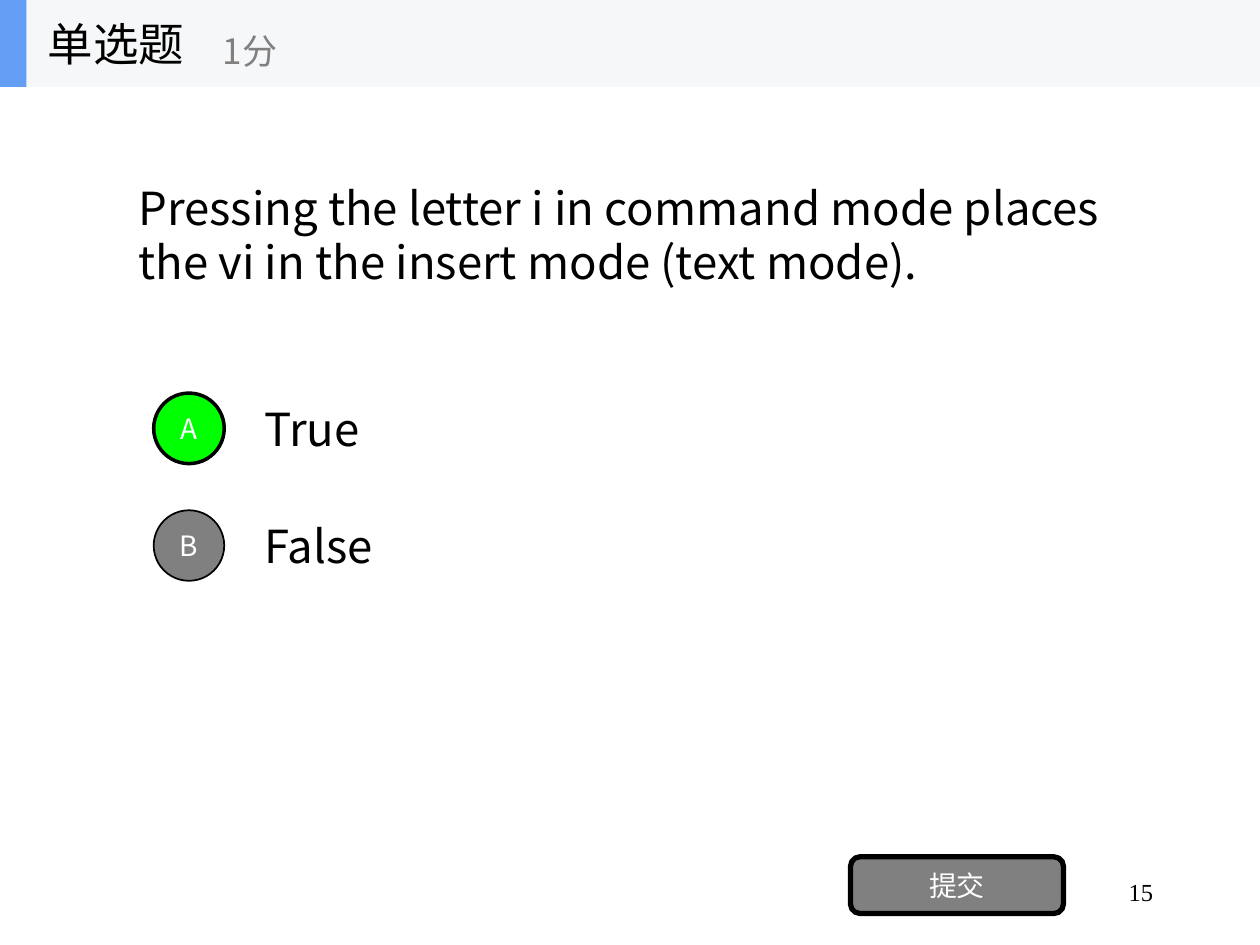
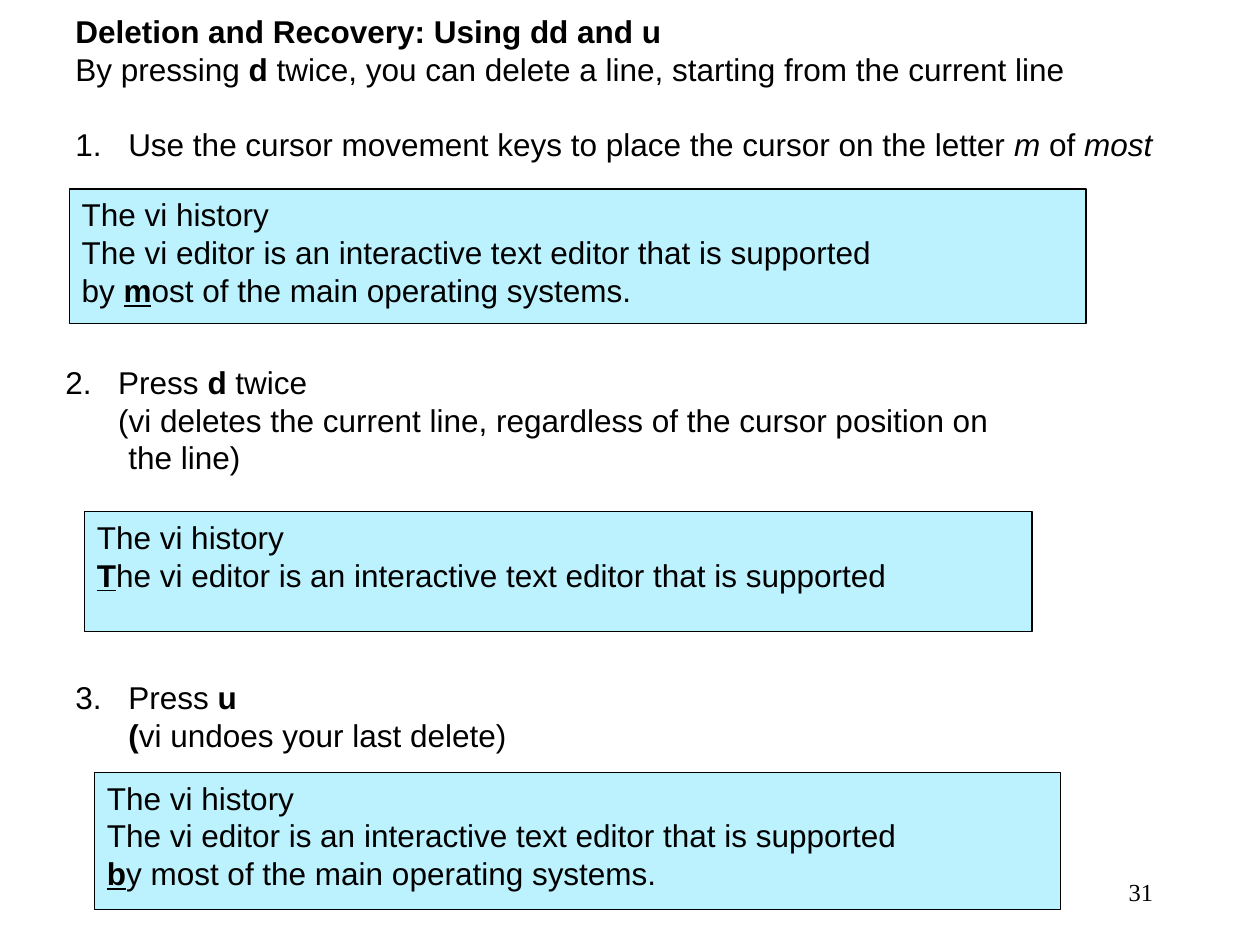
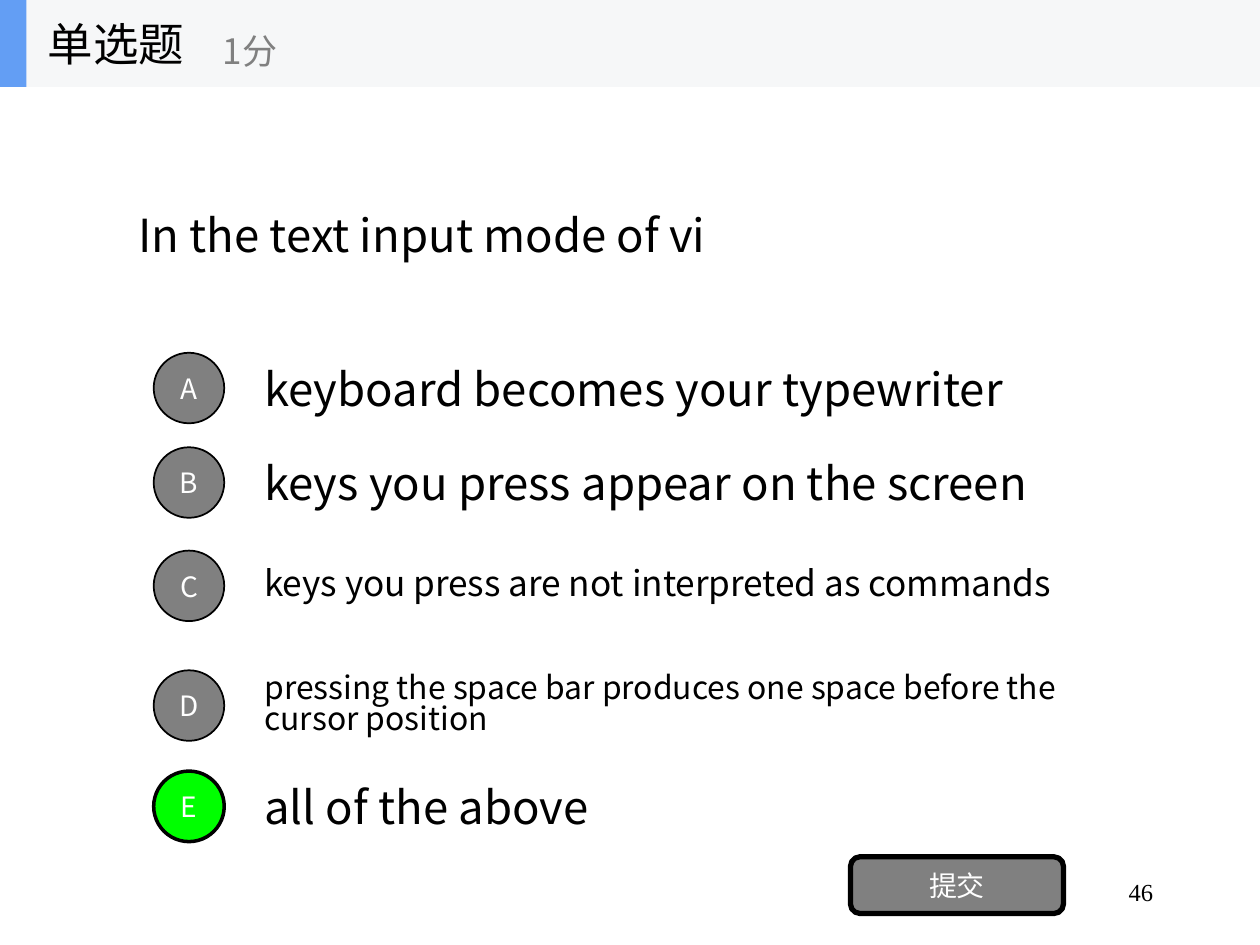
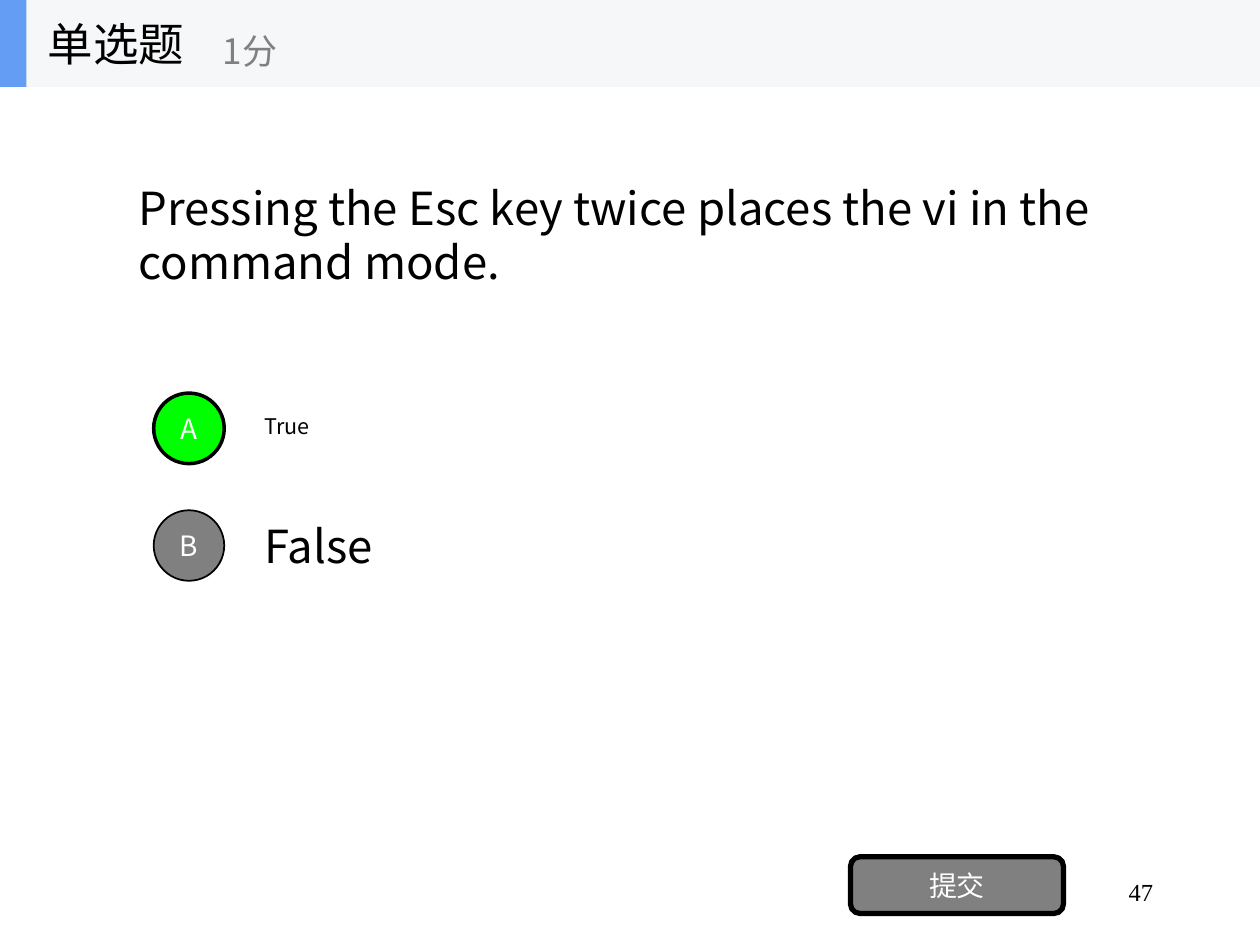
from lxml import etree
from pptx import Presentation
from pptx.dml.color import RGBColor
from pptx.enum import shapes, text
from pptx.oxml.ns import qn
from pptx.util import Inches, Pt

BLACK = RGBColor(0x00, 0x00, 0x00)
WHITE = RGBColor(0xFF, 0xFF, 0xFF)
GRAY = RGBColor(0x80, 0x80, 0x80)
GREEN = RGBColor(0x00, 0xFF, 0x00)
BAND = RGBColor(0xF6, 0xF7, 0xF8)
ACCENT = RGBColor(0x63, 0x9E, 0xF4)
CYAN = RGBColor(0xBC, 0xF1, 0xFE)

QUIZ_FONT = "Noto Sans CJK SC"
RECT = shapes.MSO_SHAPE.RECTANGLE
OVAL = shapes.MSO_SHAPE.OVAL
ROUNDED = shapes.MSO_SHAPE.ROUNDED_RECTANGLE
LEFT, CENTER, RIGHT = text.PP_ALIGN.LEFT, text.PP_ALIGN.CENTER, text.PP_ALIGN.RIGHT
TOP, MIDDLE = text.MSO_ANCHOR.TOP, text.MSO_ANCHOR.MIDDLE


def put(parent, at, *paras, kind=None, fill=None, line=0, size=26, font=QUIZ_FONT,
        color=BLACK, align=LEFT, anchor=MIDDLE, spacing=None):
    """Add a text box, or a shape of the given kind, and return it.

    A paragraph is a string or a list of runs; a run is a string or
    (string, style), with any of the letters b, i and u as style.
    """
    box = [Inches(v) for v in at]
    if kind is None:
        sp = parent.shapes.add_textbox(*box)
    else:
        sp = parent.shapes.add_shape(kind, *box)
        sp.shadow.inherit = False
        sp.fill.solid()
        sp.fill.fore_color.rgb = fill
        if line:
            sp.line.color.rgb = BLACK
            sp.line.width = Pt(line)
        else:
            sp.line.fill.background()
    tf = sp.text_frame
    tf.word_wrap = True
    tf.vertical_anchor = anchor
    for i, para in enumerate(paras):
        p = tf.add_paragraph() if i else tf.paragraphs[0]
        p.alignment = align
        p.line_spacing = spacing
        for run in [para] if isinstance(para, str) else para:
            words, style = (run, "") if isinstance(run, str) else run
            r = p.add_run()
            r.text = words
            f = r.font
            f.name, f.size, f.color.rgb = font, Pt(size), color
            f.bold, f.italic, f.underline = ("b" in style, "i" in style, "u" in style)
            if font == QUIZ_FONT:
                etree.SubElement(r._r.get_or_add_rPr(), qn("a:ea"), typeface=font)
    return sp


def set_indent(p, margin, first, number=None):
    """Indent a paragraph, and number it if a number is given."""
    pPr = p._p.get_or_add_pPr()
    pPr.set("marL", str(Inches(margin)))
    pPr.set("indent", str(Inches(first)))
    if number:
        etree.SubElement(pPr, qn("a:buAutoNum"), type="arabicPeriod", startAt=str(number))


prs = Presentation()
prs.slide_width, prs.slide_height = Inches(10), Inches(7.5)

slides = []
for page in (15, 31, 46, 47):
    s = prs.slides.add_slide(prs.slide_layouts[6])
    put(s, (7.17, 6.83, 2.08, 0.5), str(page), size=14, font="Times New Roman", align=RIGHT)
    slides.append(s)
vi_insert, deletion, text_input, esc_key = slides

# Quiz slides: question, then options as (top, text size, text), and the answer
quizzes = [
    (vi_insert,
     "Pressing the letter i in command mode places the vi in the insert mode (text mode).",
     [(3.05, 26, "True"), (3.98, 26, "False")], "A"),
    (text_input,
     "In the text input mode of vi",
     [(2.73, 26, "keyboard becomes your typewriter"),
      (3.48, 26, "keys you press appear on the screen"),
      (4.3, 20.1, "keys you press are not interpreted as commands"),
      (5.25, 18.2, "pressing the space bar produces one space before the cursor position"),
      (6.05, 26, "all of the above")], "E"),
    (esc_key,
     "Pressing the Esc key twice places the vi in the command mode.",
     [(3.05, 12.3, "True"), (3.98, 26, "False")], "A"),
]
for s, question, options, answer in quizzes:
    put(s, (1, 0.69, 8, 2.34), question)
    for letter, (top, size, option) in zip("ABCDE", options):
        correct = letter == answer
        put(s, (2, top, 7, 0.7), option, size=size, spacing=0.8 if size < 26 else None)
        put(s, (1.22, top + 0.07, 0.56, 0.56), letter, kind=OVAL,
            fill=GREEN if correct else GRAY, line=2 if correct else 1,
            size=16, color=WHITE, align=CENTER)
    put(s, (6.75, 6.8, 1.69, 0.45), "提交", kind=ROUNDED, fill=GRAY, line=3,
        size=16, color=WHITE, align=CENTER)
    header = s.shapes.add_group_shape()
    put(header, (0, 0, 10, 0.69), kind=RECT, fill=BAND)
    put(header, (0, 0, 0.21, 0.69), kind=RECT, fill=ACCENT)
    put(header, (0.28, 0, 2.08, 0.69), "单选题")
    put(header, (1.67, 0.12, 2.5, 0.56), "1分", size=20, color=GRAY)

# Deletion and recovery: three numbered steps, each with the editor's screen
body = dict(size=18, font="Arial", anchor=TOP)
step1 = put(
    deletion, (0.5, 0.05, 9.17, 1.3),
    [("Deletion and Recovery: Using dd and u", "b")],
    ["By pressing ", ("d ", "b"), "twice, you can delete a line, starting from the current line"],
    ["Use the cursor movement keys to place the cursor on the letter ",
     ("m ", "i"), "of ", ("most", "i")], **body)
step2 = put(
    deletion, (0.42, 2.83, 7.83, 1),
    ["Press ", ("d ", "b"), "twice"],
    "(vi deletes the current line, regardless of the cursor position on the line)", **body)
step3 = put(
    deletion, (0.5, 5.33, 7.58, 0.7),
    ["Press ", ("u", "b")],
    [("(", "b"), "vi undoes your last delete)"], **body)

step1.text_frame.paragraphs[2].space_before = Pt(21)
for number, (sp, index) in enumerate([(step1, 2), (step2, 0), (step3, 0)], 1):
    set_indent(sp.text_frame.paragraphs[index], 0.42, -0.42, number)
set_indent(step2.text_frame.paragraphs[1], 0.5, -0.08)
set_indent(step3.text_frame.paragraphs[1], 0.42, 0)

HISTORY = "The vi history"
EDITOR = "The vi editor is an interactive text editor that is supported"
screens = [
    ((0.55, 1.5, 8.07, 1.07),
     [EDITOR, ["by ", ("m", "bu"), "ost of the main operating systems."]]),
    ((0.67, 4.06, 7.52, 0.95), [[(EDITOR[0], "bu"), EDITOR[1:]]]),
    ((0.75, 6.13, 7.67, 1.09),
     [EDITOR, [("b", "bu"), "y most of the main operating systems."]]),
]
for at, lines in screens:
    put(deletion, at, HISTORY, *lines, kind=RECT, fill=CYAN, line=0.75, **body)

prs.save("out.pptx")
